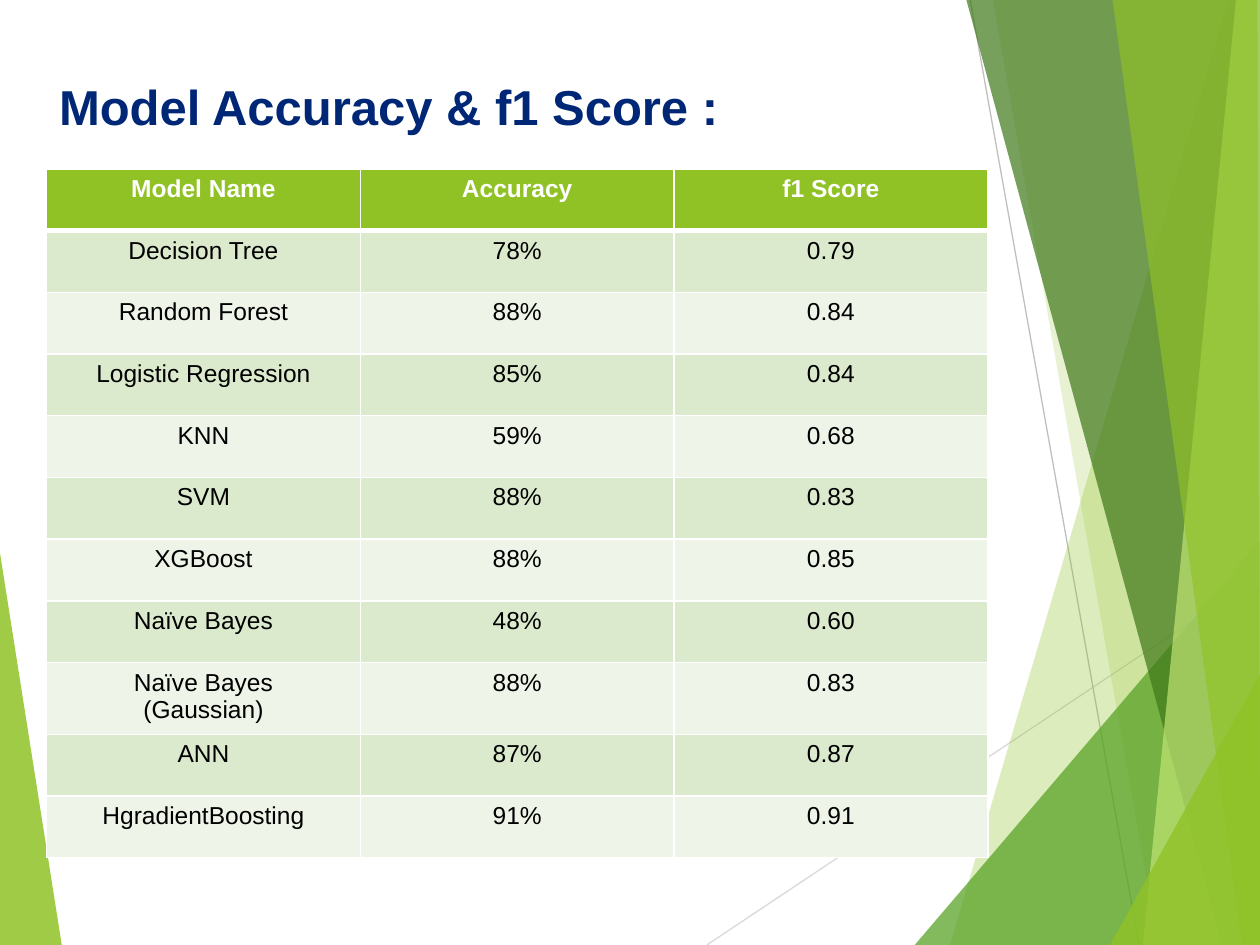
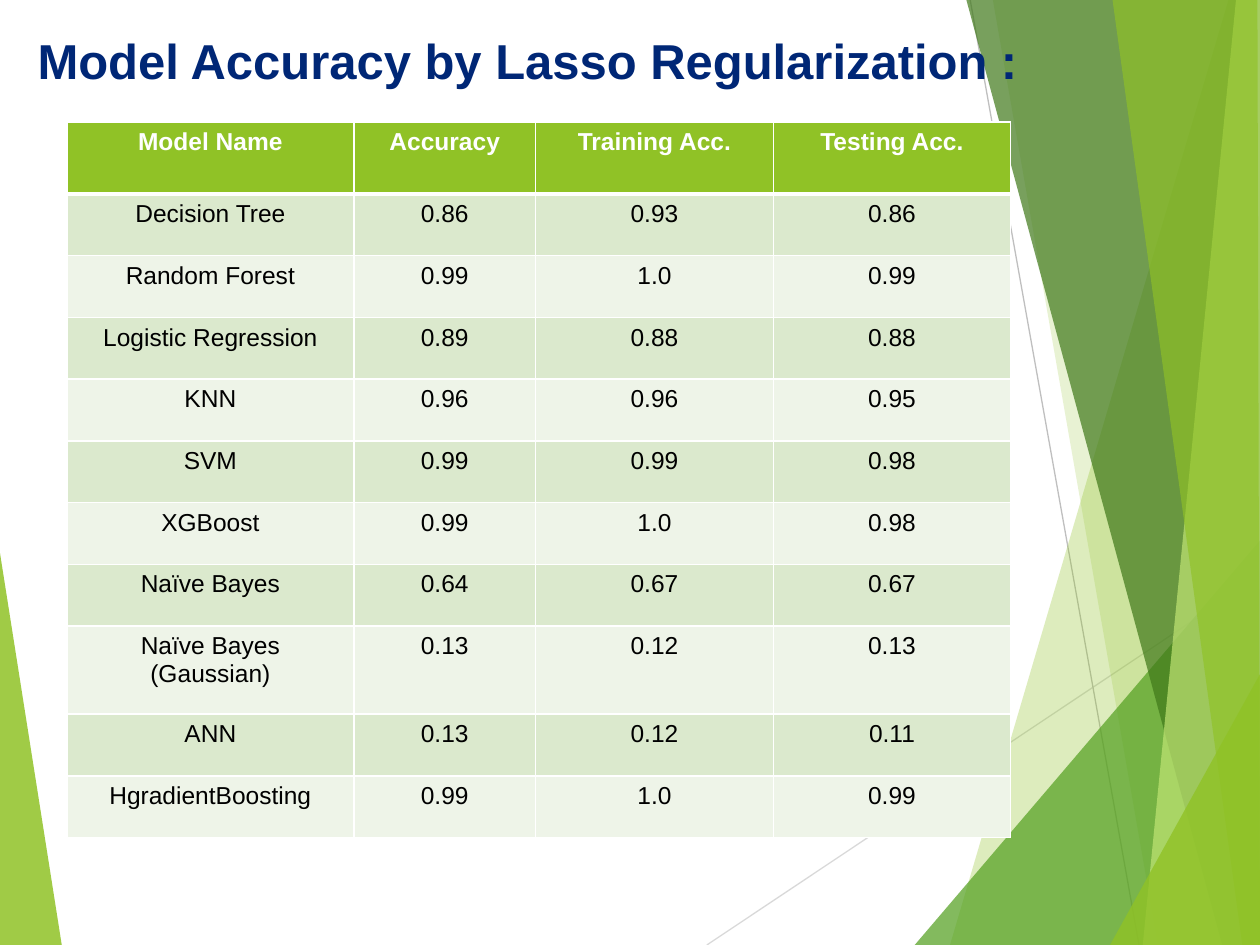
from dataclasses import dataclass

from lxml import etree
from pptx import Presentation
from pptx.dml.color import RGBColor
from pptx.enum.shapes import MSO_CONNECTOR
from pptx.enum.text import MSO_AUTO_SIZE, PP_ALIGN
from pptx.oxml.ns import qn
from pptx.util import Emu, Inches, Pt

STRAIGHT = MSO_CONNECTOR.STRAIGHT
CENTER = PP_ALIGN.CENTER
FIT_SHAPE = MSO_AUTO_SIZE.SHAPE_TO_FIT_TEXT

SLIDE_WIDTH, SLIDE_HEIGHT = Inches(10), Inches(7.5)
COLUMN, ROW = SLIDE_WIDTH / 100, SLIDE_HEIGHT / 75
FONT = "Arial"
COLORS = {
    "lime": "90C226", "green": "54A021", "forest": "3F7819", "pale": "C0E474",
    "light_line": "D9D9D9", "mid_line": "BFBFBF", "navy": "002776",
    "white": "FFFFFF", "black": "000000", "odd_row": "DBE9CD", "even_row": "EEF4E8",
}


@dataclass
class Box:
    """A region measured in grid columns and rows."""
    left: float
    top: float
    width: float
    height: float

    def point(self, x, y):
        """Return the slide position of a grid point inside the box."""
        return Emu(round((self.left + x) * COLUMN)), Emu(round((self.top + y) * ROW))

    def frame(self):
        """Return left, top, width and height as slide lengths."""
        return (*self.point(0, 0), Emu(round(self.width * COLUMN)), Emu(round(self.height * ROW)))


WEDGE_BOX = Box(0, 43.9, 4.9, 31.1)
FAN_BOX = Box(56.1, 0, 43.9, 75)

MODELS = ["Decision Tree", "Random Forest", "Logistic Regression", "KNN", "SVM", "XGBoost",
          "Naïve Bayes", "Naïve Bayes\n(Gaussian)", "ANN", "HgradientBoosting"]
F1_SCORES = {
    "Accuracy": ["78%", "88%", "85%", "59%", "88%", "88%", "48%", "88%", "87%", "91%"],
    "f1 Score": ["0.79", "0.84", "0.84", "0.68", "0.83", "0.85", "0.60", "0.83", "0.87", "0.91"],
}
LASSO_SCORES = {
    "Accuracy": ["0.86", "0.99", "0.89", "0.96", "0.99", "0.99", "0.64", "0.13", "0.13", "0.99"],
    "Training Acc.": ["0.93", "1.0", "0.88", "0.96", "0.99", "1.0", "0.67", "0.12", "0.12", "1.0"],
    "Testing Acc.": ["0.86", "0.99", "0.88", "0.95", "0.98", "0.98", "0.67", "0.13", "0.11", "0.99"],
}


def rgb(name):
    """Look up a palette colour."""
    return RGBColor.from_string(COLORS[name])


def add_run(paragraph, text, size, color, bold):
    """Add one styled run."""
    run = paragraph.add_run()
    run.text = text
    run.font.name, run.font.size, run.font.bold = FONT, Pt(size), bold
    run.font.color.rgb = rgb(color)


def add_facet(slide, box, corners, color, opacity):
    """Draw a translucent polygon from corners inside the box."""
    start, *rest = [box.point(*corner) for corner in corners]
    builder = slide.shapes.build_freeform(*start, scale=1.0)
    builder.add_line_segments(rest, close=True)
    facet = builder.convert_to_shape()
    facet.shadow.inherit = False
    facet.fill.solid()
    facet.fill.fore_color.rgb = rgb(color)
    facet.line.fill.background()
    shade = facet.fill._xPr.find(qn("a:solidFill"))[0]
    etree.SubElement(shade, qn("a:alpha"), val=str(opacity * 1000))


def add_ray(slide, box, start, end, color):
    """Draw a thin line between two points inside the box."""
    ray = slide.shapes.add_connector(STRAIGHT, *box.point(*start), *box.point(*end))
    ray.line.color.rgb = rgb(color)
    ray.line.width = Pt(0.75)
    etree.SubElement(ray._element.spPr, qn("a:effectLst"))


def add_wedge(slide, box):
    """Place the green wedge at the lower left."""
    add_facet(slide, box, [(0, 0), (box.width, box.height), (0, box.height)], "lime", 85)


def add_fan(slide, box):
    """Place the rays and overlapping facets along the right edge."""
    right, bottom = box.width, box.height
    add_ray(slide, box, (0, bottom), (right, 45.7), "light_line")
    add_ray(slide, box, (20.9, 0), (34.3, bottom), "mid_line")
    facets = [
        ((41.4, 0), (19.3, bottom), "lime", 30),
        ((22.7, 0), (35.8, bottom), "lime", 20),
        ((right, 42.9), (16.5, bottom), "green", 72),
        ((20.6, 0), (40.9, bottom), "forest", 70),
        ((42, 0), (34.6, bottom), "pale", 70),
        ((32.2, 0), (42.5, bottom), "lime", 65),
        ((right, 53.5), (32.7 - 0.7, bottom), "lime", 80),
    ]
    for upper, lower, color, opacity in facets:
        top_edge = [(right - 0.2, 0)] if upper == (32.2, 0) else [(right, upper[1])]
        add_facet(slide, box, [upper, lower, (right, bottom), *top_edge], color, opacity)


def add_title(slide, box, text):
    """Place the slide title."""
    title = slide.shapes.add_textbox(*box.frame()).text_frame
    title.word_wrap = True
    title.auto_size = FIT_SHAPE
    add_run(title.paragraphs[0], text, 28, "navy", True)


def set_borders(cell, top, bottom):
    """Give a cell white borders with the given top and bottom widths."""
    properties = cell._tc.get_or_add_tcPr()
    for side, width in (("L", 1), ("R", 1), ("T", top), ("B", bottom)):
        border = etree.SubElement(properties, qn(f"a:ln{side}"), w=str(Pt(width)))
        fill = etree.SubElement(border, qn("a:solidFill"))
        etree.SubElement(fill, qn("a:srgbClr"), val=COLORS["white"])


def fill_cell(cell, text, row):
    """Write and style one cell according to its row."""
    header = row == 0
    set_borders(cell, 3 if row == 1 else 1, 3 if header else 1)
    cell.fill.solid()
    cell.fill.fore_color.rgb = rgb("lime" if header else "odd_row" if row % 2 else "even_row")
    for index, line in enumerate(text.split("\n")):
        frame = cell.text_frame
        paragraph = frame.add_paragraph() if index else frame.paragraphs[0]
        paragraph.alignment = CENTER
        add_run(paragraph, line, 14, "white" if header else "black", header)


def add_score_table(slide, box, scores, column_widths, row_heights):
    """Place the table of models and their scores."""
    records = [("Model Name", *scores), *zip(MODELS, *scores.values())]
    table = slide.shapes.add_table(len(records), len(column_widths), *box.frame()).table
    table.horz_banding = False
    for column, width in zip(table.columns, column_widths):
        column.width = Emu(round(width * COLUMN))
    for row, (record, height) in enumerate(zip(records, row_heights)):
        table.rows[row].height = Emu(round(height * ROW))
        for column, text in enumerate(record):
            fill_cell(table.cell(row, column), text, row)


def add_score_slide(deck, title, title_box, scores, origin, column_widths, header_height, gaussian_height):
    """Build one slide with backdrop, title and score table."""
    slide = deck.slides.add_slide(deck.slide_layouts[6])
    add_wedge(slide, WEDGE_BOX)
    add_fan(slide, FAN_BOX)
    add_title(slide, title_box, title)
    row_heights = [header_height, *[4.9] * 7, gaussian_height, *[4.9] * 2]
    table_box = Box(*origin, sum(column_widths), sum(row_heights))
    add_score_table(slide, table_box, scores, column_widths, row_heights)


def main():
    """Build and save the deck."""
    deck = Presentation()
    deck.slide_width, deck.slide_height = SLIDE_WIDTH, SLIDE_HEIGHT
    add_score_slide(deck, "Model Accuracy & f1 Score :", Box(3.7, 5.6, 54.9, 5.7),
                    F1_SCORES, (3.7, 13.4), [24.9] * 3, 4.9, 5.7)
    add_score_slide(deck, "Model Accuracy by Lasso Regularization :", Box(2, 1.9, 81.3, 5.7),
                    LASSO_SCORES, (5.3, 9.7), [22.8, 14.4, 18.9, 18.8], 5.7, 7)
    deck.save("out.pptx")


if __name__ == "__main__":
    main()
